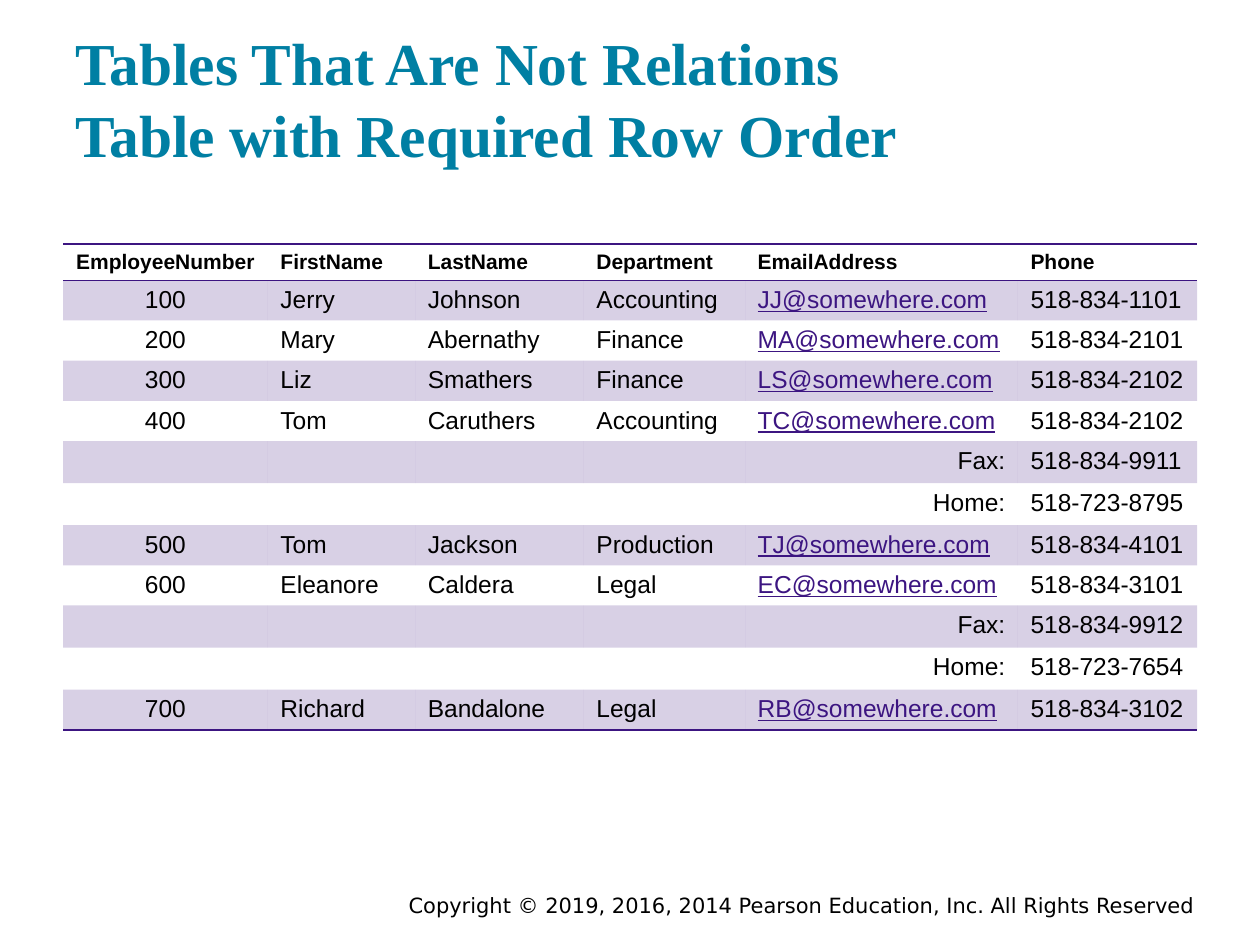
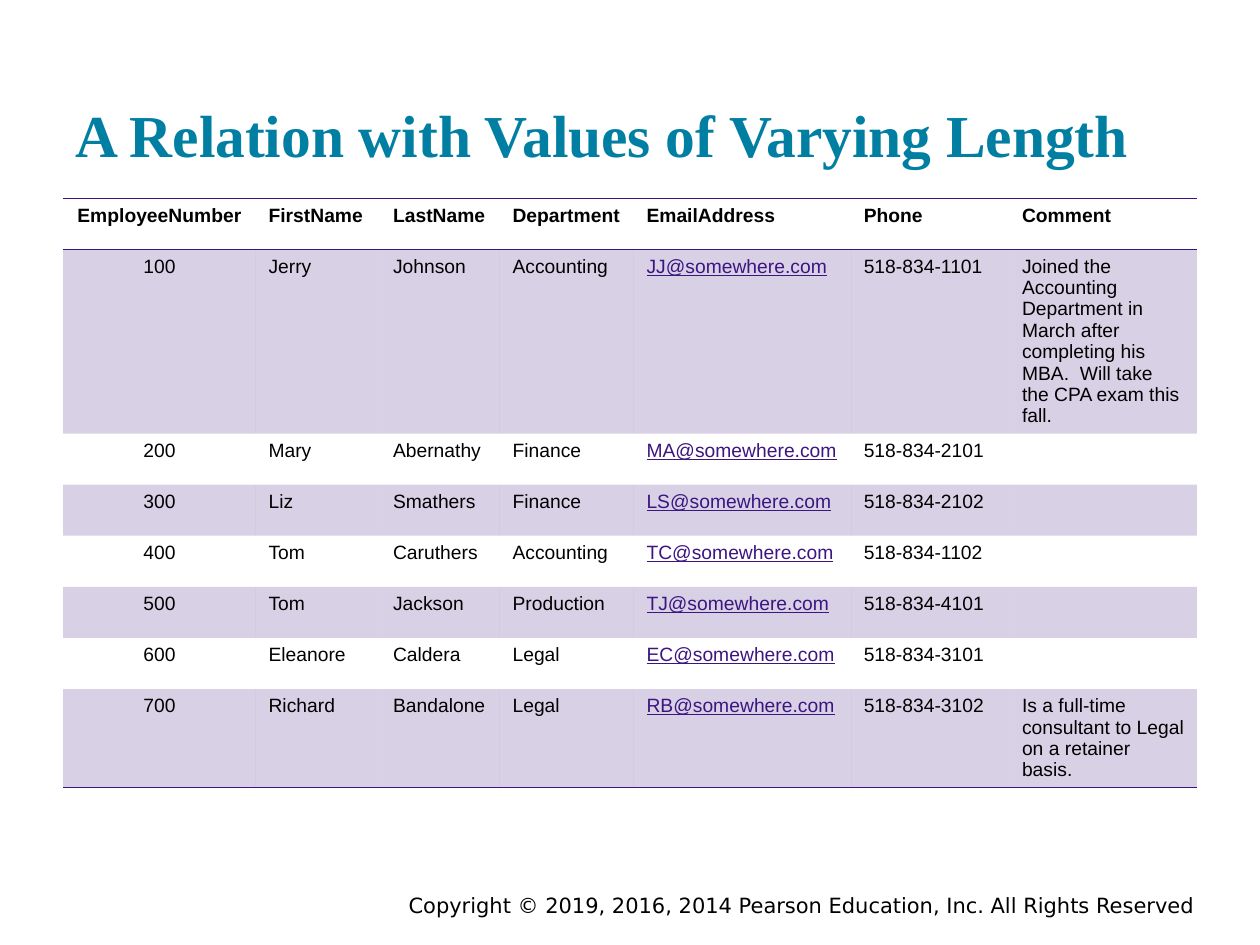
from lxml.etree import SubElement
from pptx import Presentation
from pptx.dml.color import RGBColor
from pptx.enum.text import MSO_ANCHOR, PP_ALIGN
from pptx.oxml import parse_xml
from pptx.oxml.ns import nsdecls, qn
from pptx.util import Cm, Pt

HUES = {"title": "007FA3", "ink": "000000", "rule": "3C1581"}
PLAIN = "{2D5ABB26-0587-4C30-8999-92F81FD0307C}"
LEAD = 1.11
HEADS = ["EmployeeNumber", "FirstName", "LastName", "Department", "EmailAddress", "Phone"]
STAFF = [
    ["100", "Jerry", "Johnson", "Accounting", "JJ@somewhere.com", "518-834-1101"],
    ["200", "Mary", "Abernathy", "Finance", "MA@somewhere.com", "518-834-2101"],
    ["300", "Liz", "Smathers", "Finance", "LS@somewhere.com", "518-834-2102"],
    ["400", "Tom", "Caruthers", "Accounting", "TC@somewhere.com", "518-834-1102"],
    ["500", "Tom", "Jackson", "Production", "TJ@somewhere.com", "518-834-4101"],
    ["600", "Eleanore", "Caldera", "Legal", "EC@somewhere.com", "518-834-3101"],
    ["700", "Richard", "Bandalone", "Legal", "RB@somewhere.com", "518-834-3102"],
]
DESK = {"400": "518-834-2102"}
MORE = {
    "400": [("Fax:", "518-834-9911"), ("Home:", "518-723-8795")],
    "600": [("Fax:", "518-834-9912"), ("Home:", "518-723-7654")],
}
NOTES = {
    "100": "Joined the Accounting Department in March after completing his MBA.  "
           "Will take the CPA exam this fall.",
    "700": "Is a full-time consultant to Legal on a retainer basis.",
}


def write(frame, text, size=14, face="Arial", hue="ink", bold=False, line=False,
          align=PP_ALIGN.LEFT, space=None):
    par = frame.paragraphs[0]
    par.text = text
    par.alignment = align
    par.line_spacing = space
    for run in par.runs:
        font = run.font
        font.size = Pt(size)
        font.name = face
        font.bold = bold
        font.underline = line
        font.color.rgb = RGBColor.from_string(HUES[hue])
    if not text:
        SubElement(par._p, qn("a:endParaRPr"), sz=str(size * 100))


def add_box(slide, left, top, width, height, text, pad=0.13, anchor=MSO_ANCHOR.TOP, **style):
    frame = slide.shapes.add_textbox(Cm(left), Cm(top), Cm(width), Cm(height)).text_frame
    frame.word_wrap = True
    frame.vertical_anchor = anchor
    frame.margin_top = frame.margin_bottom = Cm(pad)
    write(frame, text, **style)


def add_page(deck, title):
    slide = deck.slides.add_slide(deck.slide_layouts[6])
    add_box(slide, 4.45, 17.86, 19.89, 0.56,
            "Copyright © 2019, 2016, 2014 Pearson Education, Inc. All Rights Reserved",
            size=12, face="DejaVu Sans", align=PP_ALIGN.RIGHT)
    add_box(slide, 1.27, 0.61, 22.86, 3.05, title, pad=0.25, anchor=MSO_ANCHOR.BOTTOM,
            size=34, face="Times New Roman", hue="title", bold=True)
    return slide


def tint(cell):
    cell.fill.solid()
    cell.fill.fore_color.rgb = RGBColor.from_string(HUES["rule"])
    shade = cell._tc.tcPr.find(".//" + qn("a:srgbClr"))
    SubElement(shade, qn("a:alpha"), val="20000")


def edge(cell, sides):
    for side in sides:
        cell._tc.get_or_add_tcPr().insert(0, parse_xml(
            f'<a:ln{side} {nsdecls("a")} w="12700"><a:solidFill>'
            f'<a:srgbClr val="{HUES["rule"]}"/></a:solidFill></a:ln{side}>'))


def fill_cell(cell, text, row, col, size):
    if col == 0:
        align = PP_ALIGN.CENTER
    elif text.endswith(":"):
        align = PP_ALIGN.RIGHT
    else:
        align = PP_ALIGN.LEFT
    mail = "@" in text
    write(cell.text_frame, text, size=size, bold=row == 0, line=mail,
          hue="rule" if mail else "ink", align=align, space=Pt(size * LEAD))
    if row % 2:
        tint(cell)
    else:
        cell.fill.background()


def add_grid(slide, top, rows, wides, highs, head, body):
    shape = slide.shapes.add_table(len(rows), len(wides), Cm(1.27), Cm(top),
                                   Cm(sum(wides)), Cm(sum(highs)))
    table = shape.table
    table.first_row = table.horz_banding = False
    table._tbl.tblPr.find(qn("a:tableStyleId")).text = PLAIN
    for col, wide in enumerate(wides):
        table.columns[col].width = Cm(wide)
    for row, (texts, high) in enumerate(zip(rows, highs)):
        table.rows[row].height = Cm(high)
        for col, text in enumerate(texts):
            cell = table.cell(row, col)
            fill_cell(cell, text, row, col, body if row else head)
            if row == 0:
                edge(cell, "BT")
            elif row == len(rows) - 1:
                edge(cell, "B")


def list_phones():
    rows = [HEADS]
    for *facts, phone in STAFF:
        key = facts[0]
        rows.append([*facts, DESK.get(key, phone)])
        rows += [[""] * 4 + list(pair) for pair in MORE.get(key, [])]
    return rows


def list_notes():
    return [HEADS + ["Comment"]] + [row + [NOTES.get(row[0], "")] for row in STAFF]


def main():
    deck = Presentation()
    deck.slide_width, deck.slide_height = Cm(25.4), Cm(19.05)

    slide = add_page(deck, "Tables That Are Not Relations\vTable with Required Row Order")
    add_grid(slide, 4.92, list_phones(), [4.13, 2.97, 3.4, 3.25, 5.5, 3.61],
             [0.73] + [0.81] * 11, head=12, body=14)

    slide = add_page(deck, "A Relation with Values of Varying Length")
    add_grid(slide, 4, list_notes(), [3.89, 2.51, 2.41, 2.7, 4.38, 3.19, 3.78],
             [1.03, 3.71] + [1.03] * 5 + [1.98], head=11, body=11)

    deck.save("out.pptx")


if __name__ == "__main__":
    main()
